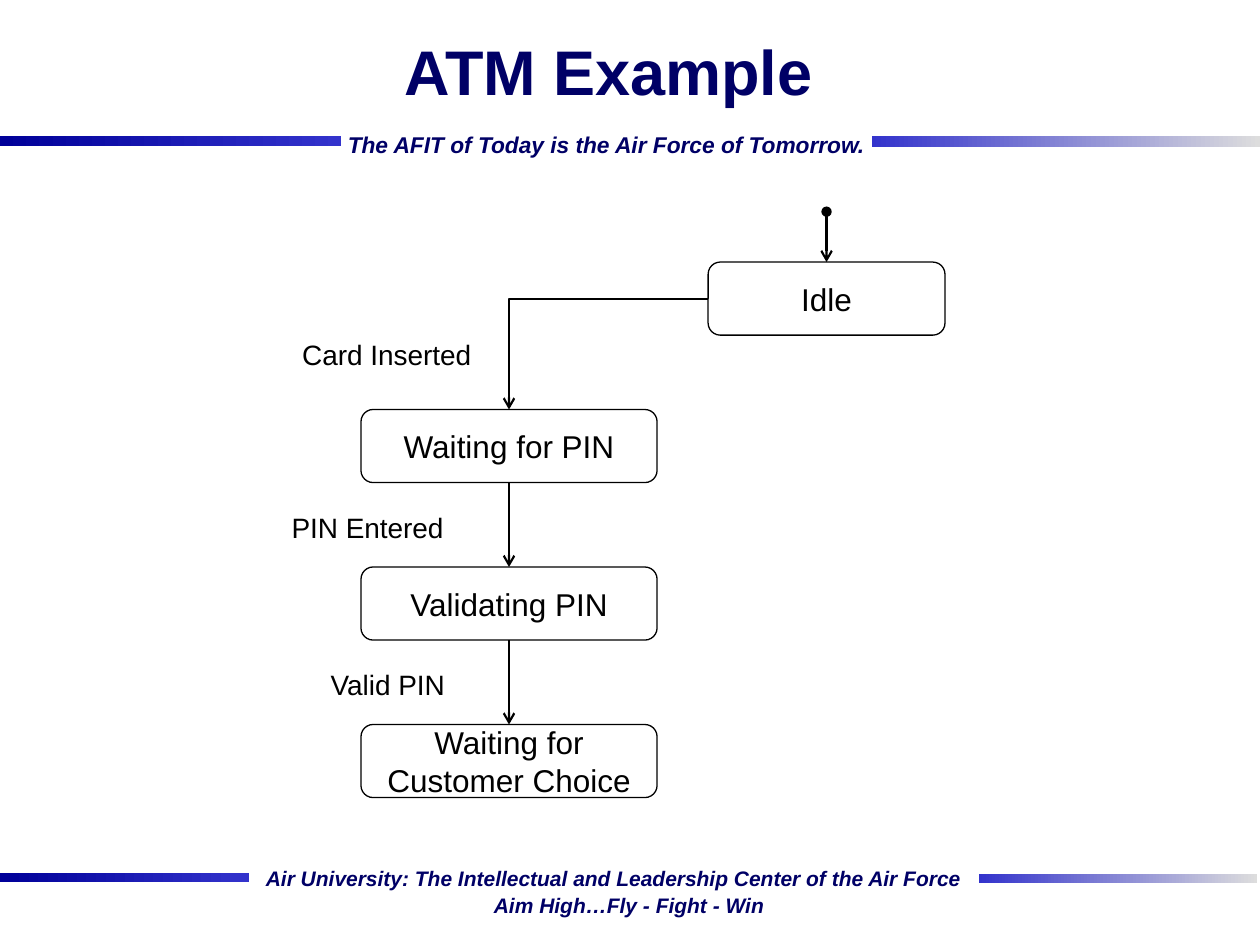
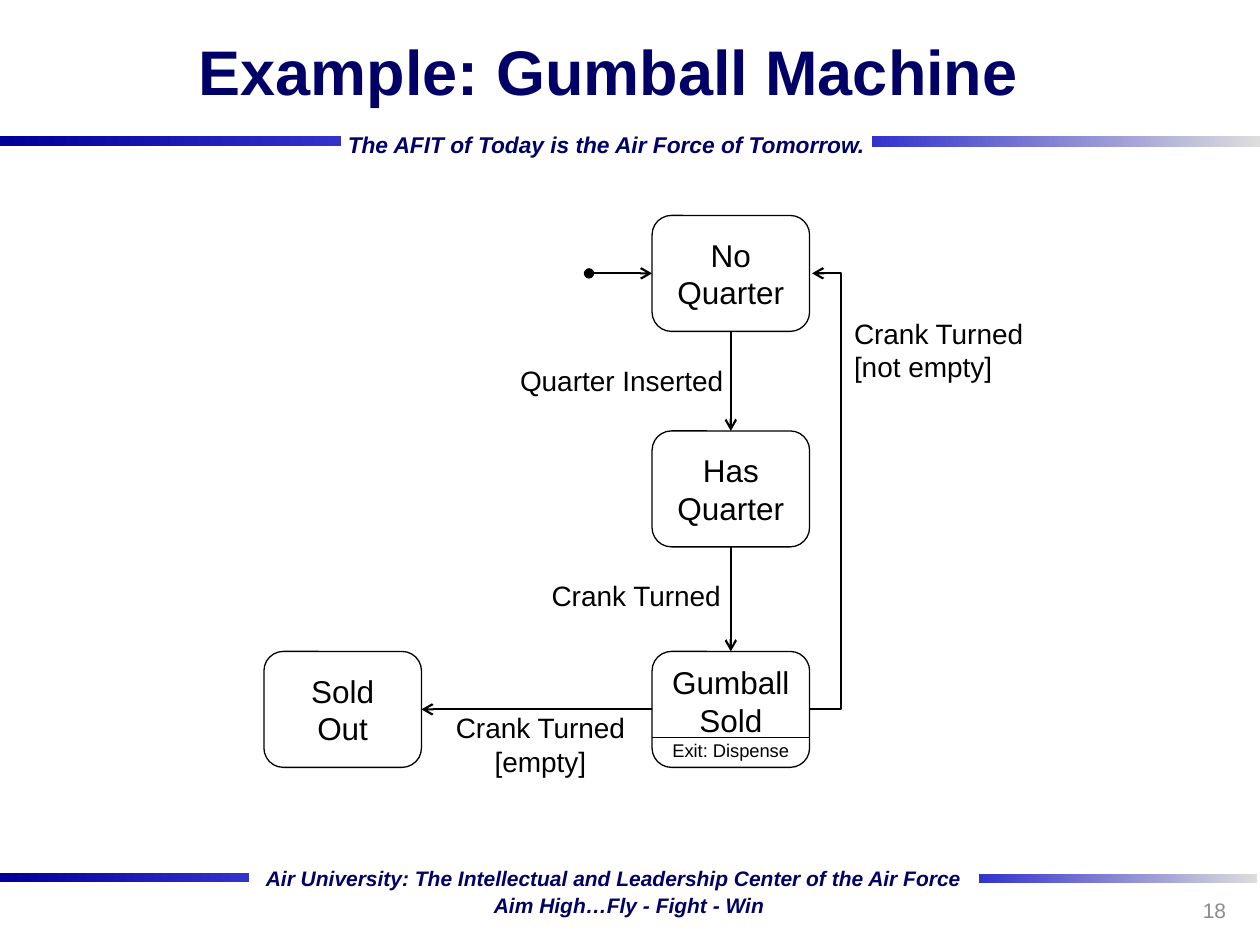
"""Builds two state-diagram slides that share one title style, bands and slogans."""
import itertools

import pptx
import pptx.dml.color
import pptx.enum.shapes
import pptx.enum.text
import pptx.oxml
import pptx.util
import lxml.etree

SHAPE = pptx.enum.shapes.MSO_SHAPE
CONNECTOR = pptx.enum.shapes.MSO_CONNECTOR
ALIGN = {"l": pptx.enum.text.PP_ALIGN.LEFT, "c": pptx.enum.text.PP_ALIGN.CENTER,
         "r": pptx.enum.text.PP_ALIGN.RIGHT}
ANCHOR = {"t": pptx.enum.text.MSO_ANCHOR.TOP, "m": pptx.enum.text.MSO_ANCHOR.MIDDLE}
DRAWING = "http://schemas.openxmlformats.org/drawingml/2006/main"

WIDTH, HEIGHT = 10, 7.5
FONT = "Arial"
NAVY, DEEP, BLUE, SILVER, GREY, BLACK = "000066", "000099", "3333CC", "DDDDDD", "8C8C8C", "000000"
TITLE = {"size": 36, "color": NAVY, "bold": True}
SLOGAN = {"color": NAVY, "bold": True, "italic": True}
STATE_LINE, ARROW_LINE = 0.75, 1.25

BANDS = [
    ((0, 6.93, 1.98, 0.07), (DEEP, BLUE)),
    ((7.77, 6.94, 2.21, 0.07), (BLUE, SILVER)),
    ((6.92, 1.08, 3.08, 0.09), (BLUE, SILVER)),
    ((0, 1.08, 2.71, 0.08), (DEEP, BLUE)),
]
SLOGANS = [
    ("Air University: The Intellectual and Leadership Center of the Air Force",
     (2.02, 6.82, 5.76, 0.29), 12, 0.05),
    ("Aim High…Fly - Fight - Win", (3.83, 7.04, 2.36, 0.29), 12, 0.04),
    ("The AFIT of Today is the Air Force of Tomorrow.", (2.67, 0.99, 4.35, 0.31), 13, 0.05),
]

ATM_X, ATM_TOP, ATM_STEP, ATM_SIZE = 4.04, 3.25, 1.25, (2.35, 0.58)
ATM_CHAIN = ["Waiting for PIN", "Validating PIN", "Waiting for Customer Choice"]
GUM_X, GUM_SIZE = 5.8, (1.25, 0.92)

DIAGRAMS = [
    {
        "title": "ATM Example",
        "states": {"Idle": (6.56, 2.08, 1.88, 0.58)} | {
            name: (ATM_X, ATM_TOP + row * ATM_STEP, *ATM_SIZE)
            for row, name in enumerate(ATM_CHAIN)},
        "start": ("Idle", "top", 0, -0.4),
        "arrows": [("Idle", "left", "Waiting for PIN", "top")] + [
            (above, "bottom", below, "top")
            for above, below in itertools.pairwise(ATM_CHAIN)],
        "labels": [("Card Inserted", 2.28, 2.63, 1.56, "r"),
                   ("PIN Entered", 2.2, 4, 1.42, "r"),
                   ("Valid PIN", 2.51, 5.25, 1.12, "r")],
    },
    {
        "title": "Example: Gumball Machine",
        "number": "18",
        "states": {"No Quarter": (GUM_X, 1.71, *GUM_SIZE),
                   "Has Quarter": (GUM_X, 3.42, *GUM_SIZE),
                   "Gumball Sold": (GUM_X, 5.17, *GUM_SIZE),
                   "Sold Out": (2.72, 5.17, *GUM_SIZE)},
        "exits": {"Gumball Sold": "Exit: Dispense"},
        "start": ("No Quarter", "left", -0.5, 0),
        "arrows": [("No Quarter", "bottom", "Has Quarter", "top"),
                   ("Has Quarter", "bottom", "Gumball Sold", "top"),
                   ("Gumball Sold", "left", "Sold Out", "right")],
        "loop": ("Gumball Sold", "No Quarter", 0.02, 0.25),
        "labels": [("Quarter Inserted", 4, 2.84, 1.84, "r"),
                   ("Crank Turned", 4.26, 4.54, 1.56, "r"),
                   ("Crank Turned\n[not empty]", 6.68, 2.46, 1.56, "l"),
                   ("Crank Turned\n[empty]", 3.51, 5.59, 1.56, "c")],
    },
]


def rgb(code):
    """Turn a hex string into a colour."""
    return pptx.dml.color.RGBColor.from_string(code)


def inches(*lengths):
    """Turn inch values into slide lengths."""
    return [pptx.util.Inches(length) for length in lengths]


def write(shape, text, size, color=BLACK, align="l", anchor="t", wrap=True,
          inset=(0.1, 0.05), exit_size=None, **style):
    """Put formatted text into a shape."""
    frame = shape.text_frame
    side, end = inches(*inset)
    layout = {"word_wrap": wrap, "vertical_anchor": ANCHOR[anchor], "margin_left": side,
              "margin_right": side, "margin_top": end, "margin_bottom": end}
    for name, value in layout.items():
        setattr(frame, name, value)
    if not wrap:
        frame.auto_size = pptx.enum.text.MSO_AUTO_SIZE.SHAPE_TO_FIT_TEXT
    paragraph = frame.paragraphs[0]
    paragraph.text = text
    paragraph.alignment = ALIGN[align]
    for run, points in zip(paragraph.runs, (size, exit_size or size)):
        for name, value in {"name": FONT, "size": pptx.util.Pt(points), **style}.items():
            setattr(run.font, name, value)
        run.font.color.rgb = rgb(color)


def add_text(slide, text, box, **style):
    """Add a text box."""
    write(slide.shapes.add_textbox(*inches(*box)), text, **style)


def add_band(slide, box, colors):
    """Add a bar with a left-to-right gradient."""
    band = slide.shapes.add_shape(SHAPE.RECTANGLE, *inches(*box))
    band.shadow.inherit = False
    band.line.fill.background()
    band.fill.gradient()
    band.fill.gradient_angle = 0
    for stop, color, position in zip(band.fill.gradient_stops, colors, (0, 1)):
        stop.color.rgb = rgb(color)
        stop.position = position


def add_state(slide, name, place, exit_action):
    """Add a rounded state box, with its exit action if it has one."""
    center, top, width, height = place
    state = slide.shapes.add_shape(
        SHAPE.ROUNDED_RECTANGLE, *inches(center - width / 2, top, width, height))
    state.shadow.inherit = False
    state.fill.background()
    state.line.color.rgb = rgb(BLACK)
    state.line.width = pptx.util.Pt(STATE_LINE)
    if exit_action:
        write(state, f"{name}\n{exit_action}", 18, align="c", exit_size=10.5)
        divider = top + height * 0.74
        add_line(slide, (center - width / 2, divider), (center + width / 2, divider),
                 weight=STATE_LINE, tail=None)
    else:
        write(state, name, 18, align="c", anchor="m")


def add_line(slide, begin, end, weight=ARROW_LINE, head=None, tail="arrow", bend=None, reach=None):
    """Add a straight or bent connector with optional ends."""
    kind = CONNECTOR.ELBOW if bend else CONNECTOR.STRAIGHT
    line = slide.shapes.add_connector(kind, *inches(*begin, *end))
    line.line.color.rgb = rgb(BLACK)
    line.line.width = pptx.util.Pt(weight)
    properties = line.line._get_or_add_ln()
    for tag, ending in (("headEnd", head), ("tailEnd", tail)):
        if ending:
            lxml.etree.SubElement(properties, f"{{{DRAWING}}}{tag}", type=ending)
    drawn = line._element.spPr
    lxml.etree.SubElement(drawn, f"{{{DRAWING}}}effectLst")
    if bend:
        geometry = drawn.find(f"{{{DRAWING}}}prstGeom")
        geometry.set("prst", bend)
        if reach:
            guides = geometry.find(f"{{{DRAWING}}}avLst")
            share = round(reach / (end[0] - begin[0]) * 100000)
            lxml.etree.SubElement(guides, f"{{{DRAWING}}}gd", name="adj1", fmla=f"val {share}")


def side_point(place, side):
    """Find the middle of one side of a state."""
    center, top, width, height = place
    return {"top": (center, top), "bottom": (center, top + height),
            "left": (center - width / 2, top + height / 2),
            "right": (center + width / 2, top + height / 2)}[side]


def add_frame(slide, title):
    """Add the bands, slogans and title that every slide has."""
    for box, colors in BANDS:
        add_band(slide, box, colors)
    for text, box, size, end in SLOGANS:
        add_text(slide, text, box, size=size, wrap=False, inset=(0.09, end), **SLOGAN)
    add_text(slide, title, (0.58, 0, 8.5, 1.12), align="c", anchor="m", **TITLE)


def add_diagram(slide, diagram):
    """Draw the states, transitions and labels of one diagram."""
    states = diagram["states"]
    for name, place in states.items():
        add_state(slide, name, place, diagram.get("exits", {}).get(name))
    first, side, across, down = diagram["start"]
    entry = side_point(states[first], side)
    add_line(slide, (entry[0] + across, entry[1] + down), entry, head="oval")
    for source, leaving, target, arriving in diagram["arrows"]:
        corner = leaving == "left" and arriving == "top"
        add_line(slide, side_point(states[source], leaving), side_point(states[target], arriving),
                 bend="bentConnector2" if corner else None)
    if "loop" in diagram:
        source, target, gap, reach = diagram["loop"]
        x, y = side_point(states[target], "right")
        add_line(slide, side_point(states[source], "right"), (x + gap, y),
                 bend="bentConnector3", reach=reach)
    for text, left, top, width, align in diagram["labels"]:
        height = 0.1 + 0.27 * len(text.splitlines())
        add_text(slide, text, (left, top, width, height), size=16, align=align, wrap=False)


deck = pptx.Presentation()
deck.slide_width, deck.slide_height = inches(WIDTH, HEIGHT)
for diagram in DIAGRAMS:
    slide = deck.slides.add_slide(deck.slide_layouts[6])
    add_frame(slide, diagram["title"])
    if "number" in diagram:
        add_text(slide, diagram["number"], (7.5, 7.02, 2.33, 0.4),
                 size=12, color=GREY, align="r", anchor="m")
    add_diagram(slide, diagram)
deck.save("out.pptx")
